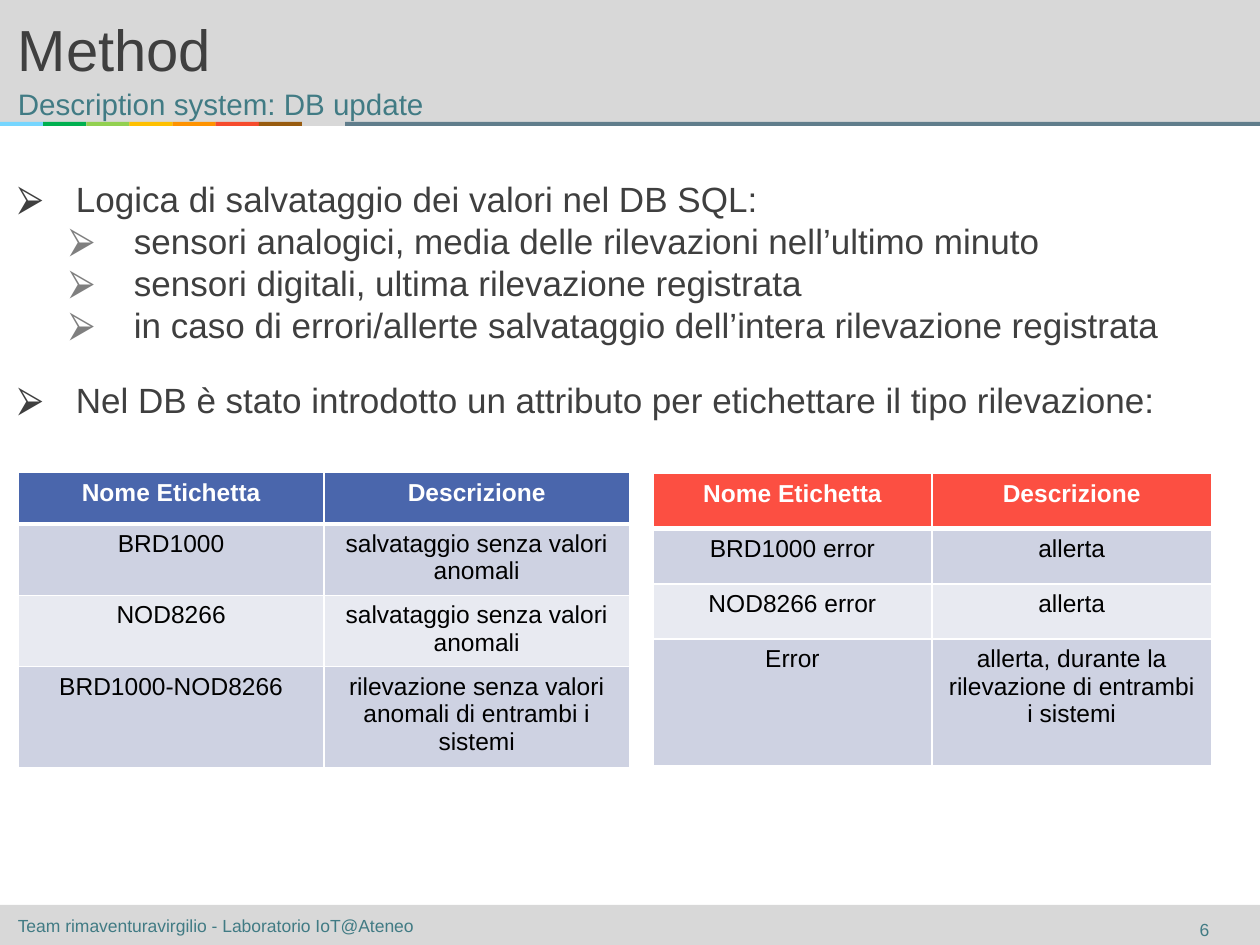
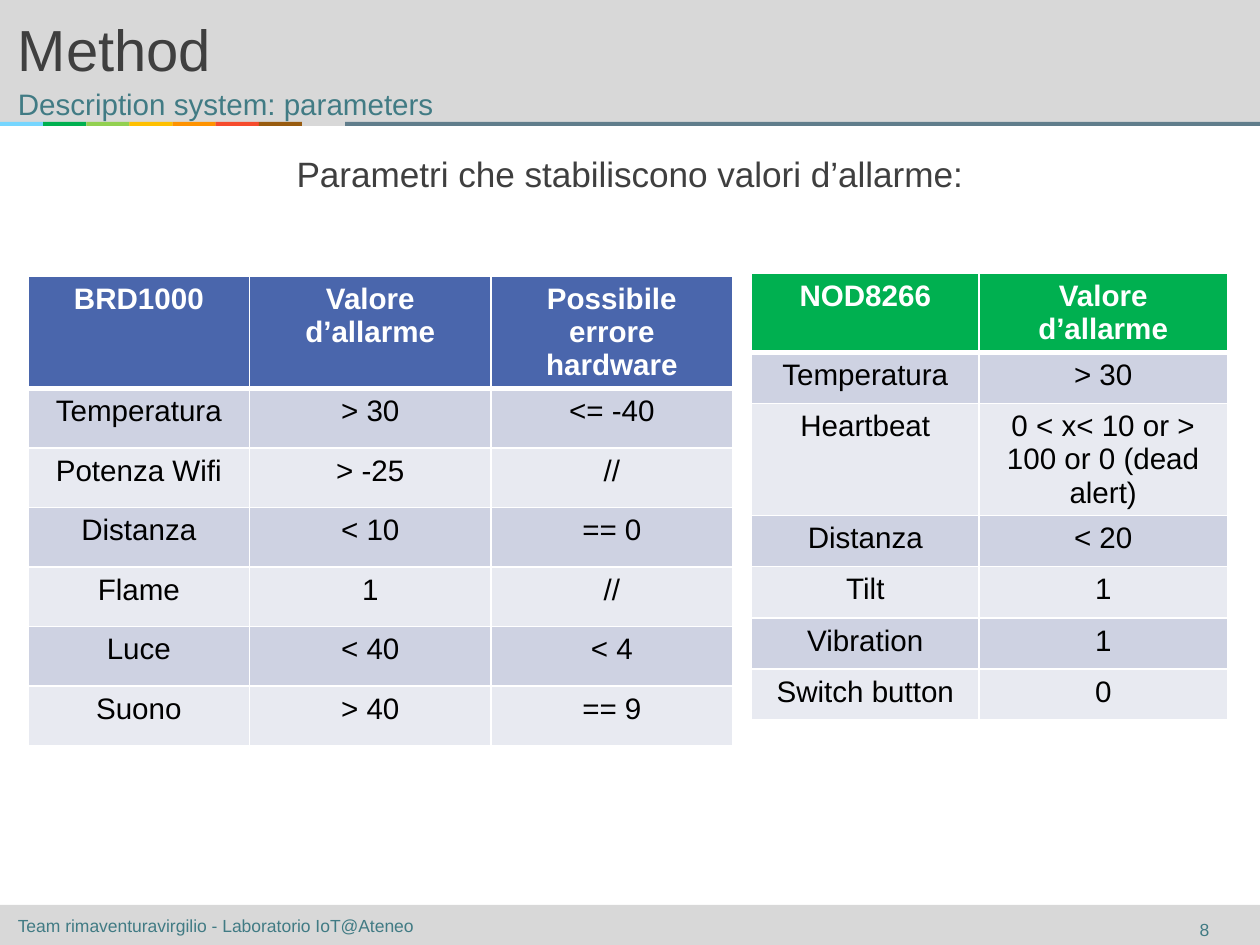
from dataclasses import dataclass

from lxml import etree
from pptx import Presentation
from pptx.dml.color import RGBColor
from pptx.enum.shapes import MSO_SHAPE
from pptx.enum.text import MSO_ANCHOR, MSO_AUTO_SIZE, PP_ALIGN
from pptx.oxml.ns import qn
from pptx.util import Cm, Pt

RECTANGLE = MSO_SHAPE.RECTANGLE
TOP, MIDDLE, BOTTOM = MSO_ANCHOR.TOP, MSO_ANCHOR.MIDDLE, MSO_ANCHOR.BOTTOM
LEFT, CENTER, RIGHT = PP_ALIGN.LEFT, PP_ALIGN.CENTER, PP_ALIGN.RIGHT
NO_AUTOFIT = MSO_AUTO_SIZE.NONE

FONT = "Arial"
DARK = RGBColor(0x3F, 0x3F, 0x3F)
GREY = RGBColor(0x7F, 0x7F, 0x7F)
BAND = RGBColor(0xD8, 0xD8, 0xD8)
TEAL = RGBColor(0x41, 0x7B, 0x84)
SLATE = RGBColor(0x60, 0x7D, 0x8B)
SKY = RGBColor(0x76, 0xD6, 0xFF)
GREEN = RGBColor(0x00, 0xB0, 0x50)
LIME = RGBColor(0x92, 0xD0, 0x50)
YELLOW = RGBColor(0xFF, 0xC0, 0x00)
ORANGE = RGBColor(0xFF, 0x93, 0x00)
RED = RGBColor(0xFF, 0x26, 0x00)
BROWN = RGBColor(0x94, 0x52, 0x00)
BLUE = RGBColor(0x4A, 0x66, 0xAC)
CORAL = RGBColor(0xFC, 0x4F, 0x42)
ROW_ODD = RGBColor(0xCE, 0xD2, 0xE2)
ROW_EVEN = RGBColor(0xE8, 0xEA, 0xF1)
WHITE = RGBColor(0xFF, 0xFF, 0xFF)
BLACK = RGBColor(0x00, 0x00, 0x00)

SLIDE_WIDTH, SLIDE_HEIGHT = 25.4, 19.05
FOOTER_TOP = 18.24
STRIP_TOP, STRIP_HEIGHT, STRIP_STEP = 2.46, 0.08, 0.87
STRIP = [(SKY, 100), (GREEN, 100), (LIME, 100), (YELLOW, 100),
         (ORANGE, 100), (RED, 79), (BROWN, 93), (BAND, 100)]
FOOTER = "Team rimaventuravirgilio - Laboratorio IoT@Ateneo"


@dataclass
class Box:
    left: float
    top: float
    width: float
    height: float


@dataclass
class TextStyle:
    size: float
    color: RGBColor
    align: PP_ALIGN = LEFT
    anchor: MSO_ANCHOR = TOP
    bold: bool = False


@dataclass
class Bullet:
    text: str
    level: int = 0
    space_before: float = 0


@dataclass
class Grid:
    left: float
    top: float
    column_widths: list[float]
    row_heights: list[float]
    header_color: RGBColor
    font_size: float
    rows: list[list[str]]


TITLE_STYLE = TextStyle(33.1, DARK, anchor=BOTTOM)
SUBTITLE_STYLE = TextStyle(16.9, TEAL)
FOOTER_STYLE = TextStyle(10, TEAL, anchor=MIDDLE)
NUMBER_STYLE = TextStyle(10, TEAL, RIGHT, MIDDLE)
BULLET_STYLE = TextStyle(20, DARK)
LEAD_STYLE = TextStyle(20.1, DARK, CENTER)
BULLET_LEVELS = [(1.17, 1.17, DARK), (2.34, 1.3, GREY)]


def add_run(paragraph, text: str, style: TextStyle) -> None:
    paragraph.alignment = style.align
    run = paragraph.add_run()
    run.text = text
    run.font.name = FONT
    run.font.size = Pt(style.size)
    run.font.bold = style.bold
    run.font.color.rgb = style.color


def prepare_frame(shape, anchor: MSO_ANCHOR):
    frame = shape.text_frame
    frame.word_wrap = True
    frame.auto_size = NO_AUTOFIT
    frame.vertical_anchor = anchor
    frame.margin_left = frame.margin_right = Cm(0.36)
    frame.margin_top = frame.margin_bottom = Cm(0.18)
    return frame


def add_text_box(slide, box: Box, anchor: MSO_ANCHOR):
    shape = slide.shapes.add_textbox(
        Cm(box.left), Cm(box.top), Cm(box.width), Cm(box.height))
    return prepare_frame(shape, anchor)


def add_text(slide, box: Box, text: str, style: TextStyle) -> None:
    add_run(add_text_box(slide, box, style.anchor).paragraphs[0], text, style)


def add_bar(slide, box: Box, color: RGBColor, opacity: int = 100) -> None:
    shape = slide.shapes.add_shape(
        RECTANGLE, Cm(box.left), Cm(box.top), Cm(box.width), Cm(box.height))
    shape.shadow.inherit = False
    shape.fill.solid()
    shape.fill.fore_color.rgb = color
    shape.line.fill.background()
    if opacity < 100:
        fill_color = shape.element.spPr.find(qn("a:solidFill"))[0]
        etree.SubElement(fill_color, qn("a:alpha"), val=str(opacity * 1000))


def add_bullets(slide, box: Box, bullets: list[Bullet]) -> None:
    frame = add_text_box(slide, box, TOP)
    for index, bullet in enumerate(bullets):
        paragraph = frame.add_paragraph() if index else frame.paragraphs[0]
        paragraph.level = bullet.level
        paragraph.space_before = Pt(bullet.space_before)
        add_run(paragraph, bullet.text, BULLET_STYLE)
        margin, hanging, color = BULLET_LEVELS[bullet.level]
        properties = paragraph._p.get_or_add_pPr()
        properties.set("marL", str(Cm(margin)))
        properties.set("indent", str(-Cm(hanging)))
        bullet_color = etree.SubElement(properties, qn("a:buClr"))
        etree.SubElement(bullet_color, qn("a:srgbClr"), val=str(color))
        etree.SubElement(properties, qn("a:buFont"), typeface=FONT)
        etree.SubElement(properties, qn("a:buChar"), char="⮚")


def set_borders(cell, top: float, bottom: float) -> None:
    properties = cell._tc.get_or_add_tcPr()
    for side, points in (("L", 1), ("R", 1), ("T", top), ("B", bottom)):
        line = etree.SubElement(properties, qn(f"a:ln{side}"), w=str(Pt(points)))
        fill = etree.SubElement(line, qn("a:solidFill"))
        etree.SubElement(fill, qn("a:srgbClr"), val=str(WHITE))


def add_grid(slide, grid: Grid) -> None:
    table = slide.shapes.add_table(
        len(grid.rows), len(grid.column_widths), Cm(grid.left), Cm(grid.top),
        Cm(sum(grid.column_widths)), Cm(sum(grid.row_heights))).table
    for column, width in zip(table.columns, grid.column_widths):
        column.width = Cm(width)
    header_style = TextStyle(grid.font_size, WHITE, CENTER, bold=True)
    value_style = TextStyle(grid.font_size, BLACK, CENTER)
    for row_index, values in enumerate(grid.rows):
        table.rows[row_index].height = Cm(grid.row_heights[row_index])
        is_header = row_index == 0
        band = ROW_ODD if row_index % 2 else ROW_EVEN
        for column_index, value in enumerate(values):
            cell = table.cell(row_index, column_index)
            set_borders(cell, 3 if row_index == 1 else 1, 3 if is_header else 1)
            cell.fill.solid()
            cell.fill.fore_color.rgb = grid.header_color if is_header else band
            add_run(cell.text_frame.paragraphs[0], value,
                    header_style if is_header else value_style)


def add_method_slide(presentation, subtitle: str, number: int):
    slide = presentation.slides.add_slide(presentation.slide_layouts[5])
    add_bar(slide, Box(0, 0, SLIDE_WIDTH, 2.54), BAND)
    add_bar(slide, Box(0, FOOTER_TOP, SLIDE_WIDTH, SLIDE_HEIGHT - FOOTER_TOP), BAND)
    for index, (color, opacity) in enumerate(STRIP):
        segment = Box(index * STRIP_STEP, STRIP_TOP, STRIP_STEP, STRIP_HEIGHT)
        add_bar(slide, segment, color, opacity)
    strip_end = len(STRIP) * STRIP_STEP
    add_bar(slide, Box(strip_end, STRIP_TOP, SLIDE_WIDTH - strip_end, STRIP_HEIGHT),
            SLATE)

    title = slide.shapes.title
    title.element.getparent().append(title.element)
    title.left, title.top = Cm(0), Cm(0)
    title.width, title.height = Cm(SLIDE_WIDTH), Cm(1.85)
    frame = prepare_frame(title, TITLE_STYLE.anchor)
    add_run(frame.paragraphs[0], "Method", TITLE_STYLE)

    add_text(slide, Box(0, 1.55, SLIDE_WIDTH, 0.91), subtitle, SUBTITLE_STYLE)
    add_text(slide, Box(0, 18.47, 10.13, 0.36), FOOTER, FOOTER_STYLE)
    add_text(slide, Box(22.96, 18.42, 1.78, 0.63), str(number), NUMBER_STYLE)
    return slide


def build_update_slide(presentation) -> None:
    slide = add_method_slide(presentation, "Description system: DB update", 6)
    add_bullets(slide, Box(0, 3.4, SLIDE_WIDTH, 14.27), [
        Bullet("Logica di salvataggio dei valori nel DB SQL:"),
        Bullet("sensori analogici, media delle rilevazioni nell’ultimo minuto", 1),
        Bullet("sensori digitali, ultima rilevazione registrata", 1),
        Bullet("in caso di errori/allerte salvataggio dell’intera rilevazione "
               "registrata", 1),
        Bullet("Nel DB è stato introdotto un attributo per etichettare il tipo "
               "rilevazione:", 0, 18.5),
    ])
    header = ["Nome Etichetta", "Descrizione"]
    add_grid(slide, Grid(0.37, 9.53, [6.16] * 2, [1.03, 1.44, 1.44, 2.04], BLUE, 14, [
        header,
        ["BRD1000", "salvataggio senza valori anomali"],
        ["NOD8266", "salvataggio senza valori anomali"],
        ["BRD1000-NOD8266", "rilevazione senza valori anomali di entrambi i sistemi"],
    ]))
    add_grid(slide, Grid(13.16, 9.55, [5.63] * 2, [1.11] * 3 + [2.56], CORAL, 14, [
        header,
        ["BRD1000 error", "allerta"],
        ["NOD8266 error", "allerta"],
        ["Error", "allerta, durante la rilevazione di entrambi i sistemi"],
    ]))


def build_parameters_slide(presentation) -> None:
    slide = add_method_slide(presentation, "Description system: parameters", 8)
    add_text(slide, Box(0, 2.9, SLIDE_WIDTH, 15.09),
             "Parametri che stabiliscono valori d’allarme:", LEAD_STYLE)
    add_grid(slide, Grid(0.57, 5.57, [4.46, 4.87, 4.87], [1.96] + [1.2] * 6, BLUE, 16.9, [
        ["BRD1000", "Valore d’allarme", "Possibile errore hardware"],
        ["Temperatura", "> 30", "<= -40"],
        ["Potenza Wifi", "> -25", "//"],
        ["Distanza", "< 10", "== 0"],
        ["Flame", "1", "//"],
        ["Luce", "< 40", "< 4"],
        ["Suono", "> 40", "== 9"],
    ]))
    add_grid(slide, Grid(15.15, 5.51, [4.59, 5], [1.03] * 7, GREEN, 16.9, [
        ["NOD8266", "Valore d’allarme"],
        ["Temperatura", "> 30"],
        ["Heartbeat", "0 < x< 10 or > 100 or 0 (dead alert)"],
        ["Distanza", "< 20"],
        ["Tilt", "1"],
        ["Vibration", "1"],
        ["Switch button", "0"],
    ]))


def main() -> None:
    presentation = Presentation()
    presentation.slide_width = Cm(SLIDE_WIDTH)
    presentation.slide_height = Cm(SLIDE_HEIGHT)
    build_update_slide(presentation)
    build_parameters_slide(presentation)
    presentation.save("out.pptx")


if __name__ == "__main__":
    main()
